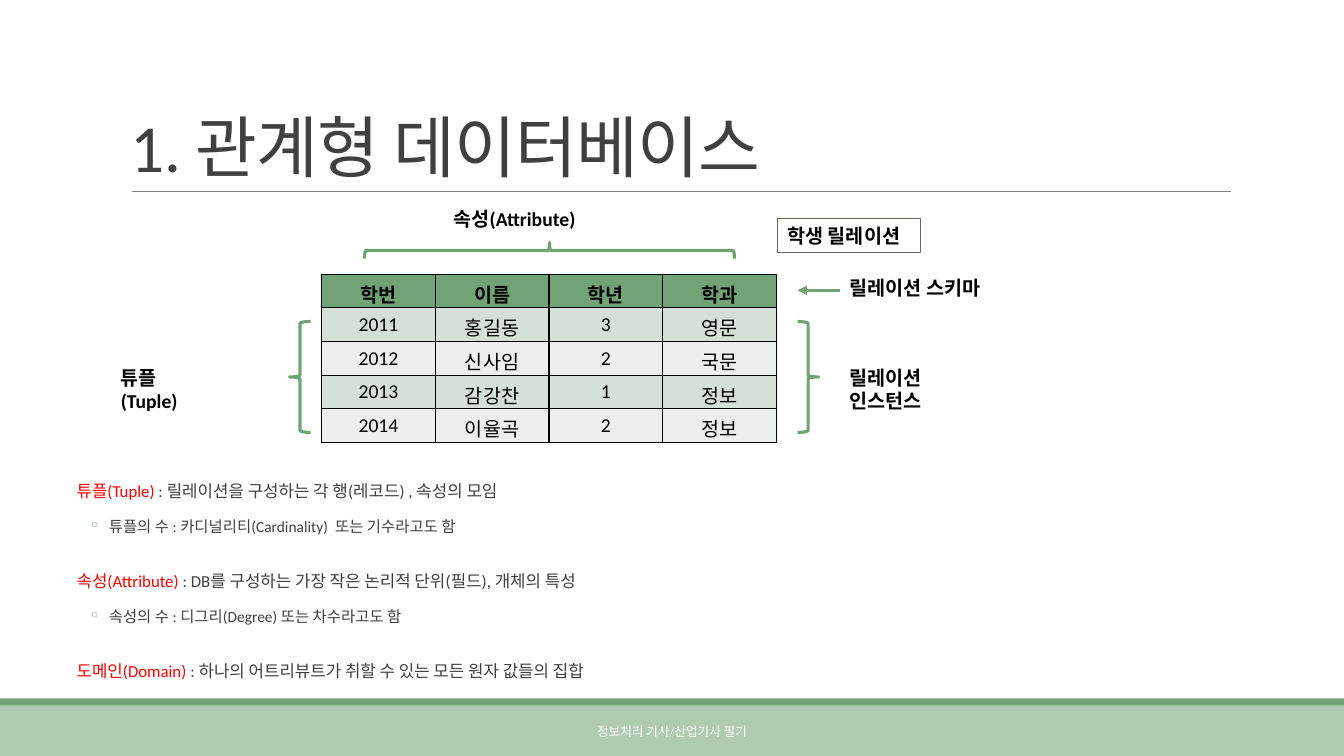
from lxml import etree
from pptx import Presentation
from pptx import util as u
from pptx.dml.color import RGBColor
from pptx.enum import shapes, text
from pptx.oxml import ns

# Content
TITLE = "1. 관계형 데이터베이스"
FOOTER = "정보처리 기사/산업기사 필기"
STUDENTS = [
    ("학번", "이름", "학년", "학과"),
    ("2011", "홍길동", "3", "영문"),
    ("2012", "신사임", "2", "국문"),
    ("2013", "감강찬", "1", "정보"),
    ("2014", "이율곡", "2", "정보"),
]
# Term, its definition, and a note on its count
DEFINITIONS = [
    ("튜플(Tuple)", " : 릴레이션을 구성하는 각 행(레코드) , 속성의 모임",
     "튜플의 수 : 카디널리티(Cardinality)  또는 기수라고도 함"),
    ("속성(Attribute) ", ": DB를 구성하는 가장 작은 논리적 단위(필드), 개체의 특성",
     "속성의 수 : 디그리(Degree) 또는 차수라고도 함"),
    ("도메인(Domain) ", ": 하나의 어트리뷰트가 취할 수 있는 모든 원자 값들의 집합", None),
]
# Text, place, right inset
LABELS = [
    ("릴레이션 스키마", (8.33, 2.69, 1.62, 0.34), 0),
    ("릴레이션\n인스턴스", (8.33, 3.58, 0.99, 0.57), 0),
    ("속성(Attribute)", (4.4, 2, 1.46, 0.34), 0),
    ("튜플(Tuple)", (1.1, 3.58, 1.16, 0.34), 0.3),
]
RELATION_NAME = ("학생 릴레이션", (7.71, 2.17, 1.42, 0.34), 0)
# Shape, place, rotation
BRACES = [
    (shapes.MSO_SHAPE.RIGHT_BRACE, (7.91, 3.19, 0.21, 1.1), 0),
    (shapes.MSO_SHAPE.RIGHT_BRACE, (5.37, 0.65, 0.16, 3.67), 270),
    (shapes.MSO_SHAPE.LEFT_BRACE, (2.87, 3.19, 0.21, 1.1), 0),
]


class Theme:
    font = "Calibri"
    green, pale_green = "72A376", "B0CCB0"
    bands = ("EBF0EC", "D5E0D6")
    ink, black, white, red = "404040", "000000", "FFFFFF", "FF0000"
    rule, frame = "808080", "676A55"
    title, label, term, note, footer = 48, 14, 12, 11, 9


deck = Presentation()
deck.slide_width, deck.slide_height = u.Inches(13.33), u.Inches(7.5)
page = deck.slides.add_slide(deck.slide_layouts[6])


def inches(place):
    return [u.Inches(length) for length in place]


def style(span, size, color, bold=False):
    span.font.name = Theme.font
    span.font.size = u.Pt(size)
    span.font.bold = bold
    span.font.color.rgb = RGBColor.from_string(color)


def style_all(frame, size, color, bold=False, align=None):
    for para in frame.paragraphs:
        para.alignment = align
        for span in para.runs:
            style(span, size, color, bold)


def add_text(words, place, size, color, bold=False, align=None, anchor="TOP"):
    box = page.shapes.add_textbox(*inches(place))
    frame = box.text_frame
    frame.word_wrap = True
    frame.vertical_anchor = text.MSO_ANCHOR[anchor]
    frame.text = words
    style_all(frame, size, color, bold, align)
    return box


def add_label(words, place, right_inset):
    box = add_text(words, place, Theme.label, Theme.black, bold=True)
    box.text_frame.margin_right = u.Inches(right_inset)
    return box


def add_shape(kind, place, fill=None, line=None, width=1.0):
    shape = page.shapes.add_shape(kind, *inches(place))
    shape.shadow.inherit = False
    for part, color in ((shape.fill, fill), (shape.line.fill, line)):
        if color:
            part.solid()
            part.fore_color.rgb = RGBColor.from_string(color)
        else:
            part.background()
    if line:
        shape.line.width = u.Pt(width)
    return shape


def add_line(start, end, color, width):
    line = page.shapes.add_connector(
        shapes.MSO_CONNECTOR.STRAIGHT, *inches(start + end))
    line.line.color.rgb = RGBColor.from_string(color)
    line.line.width = u.Pt(width)
    etree.SubElement(line._element.spPr, ns.qn("a:effectLst"))
    return line


def set_borders(cell, color):
    properties = cell._tc.get_or_add_tcPr()
    for index, side in enumerate(("lnL", "lnR", "lnT", "lnB")):
        border = etree.Element(ns.qn("a:" + side), w=str(u.Pt(1)))
        fill = etree.SubElement(border, ns.qn("a:solidFill"))
        etree.SubElement(fill, ns.qn("a:srgbClr"), val=color)
        properties.insert(index, border)


def set_bullet(para, mark, color, margin, indent):
    properties = para._p.get_or_add_pPr()
    properties.set("marL", str(u.Inches(margin)))
    properties.set("indent", str(u.Inches(indent)))
    tint = etree.SubElement(properties, ns.qn("a:buClr"))
    etree.SubElement(tint, ns.qn("a:srgbClr"), val=color)
    etree.SubElement(properties, ns.qn("a:buChar"), char=mark)


def add_definition_line(frame, level, spans):
    para = frame.paragraphs[0]
    if para.runs:
        para = frame.add_paragraph()
    para.level = level
    para.line_spacing = 1.6
    para.space_before, para.space_after = ((u.Pt(12), u.Pt(2)), (u.Pt(2), u.Pt(4)))[level]
    mark, margin, indent = ((" ", 0.1, -0.1), ("◦", 0.42, -0.2))[level]
    set_bullet(para, mark, Theme.green, margin, indent)
    for words, size, color in spans:
        span = para.add_run()
        span.text = words
        style(span, size, color)


# Footer band, title and its rule
add_shape(shapes.MSO_SHAPE.RECTANGLE, (0, 7, 13.33, 0.5), Theme.pale_green)
add_shape(shapes.MSO_SHAPE.RECTANGLE, (0, 6.93, 13.33, 0.07), Theme.green)
add_line((1.31, 1.9), (12.21, 1.9), Theme.rule, 0.5)
title = add_text(TITLE, (1.2, 0.31, 11, 1.59), Theme.title, Theme.ink, anchor="BOTTOM")
title_para = title.text_frame.paragraphs[0]
title_para.line_spacing = 0.85
title_para.runs[0].font._element.set("spc", "-50")
add_text(FOOTER, (4.03, 7.06, 5.27, 0.4), Theme.footer, Theme.white,
         align=text.PP_ALIGN.CENTER, anchor="MIDDLE")

# Definitions
body = page.shapes.add_textbox(*inches((0.66, 4.6, 12, 2.24))).text_frame
body.word_wrap = True
body.margin_left = body.margin_right = 0
for term, meaning, note in DEFINITIONS:
    add_definition_line(body, 0, [(term, Theme.term, Theme.red),
                                  (meaning, Theme.term, Theme.ink)])
    if note:
        add_definition_line(body, 1, [(note, Theme.note, Theme.ink)])

# Student table
table = page.shapes.add_table(len(STUDENTS), len(STUDENTS[0]),
                              *inches((3.19, 2.72, 4.51, 1.67))).table
for row, values in enumerate(STUDENTS):
    for column, value in enumerate(values):
        cell = table.cell(row, column)
        cell.text = value
        cell.vertical_anchor = text.MSO_ANCHOR.MIDDLE
        cell.margin_left = cell.margin_right = u.Inches(0.13)
        cell.fill.solid()
        color = Theme.bands[row % 2] if row else Theme.green
        cell.fill.fore_color.rgb = RGBColor.from_string(color)
        style_all(cell.text_frame, Theme.label, Theme.black,
                  bold=row == 0, align=text.PP_ALIGN.CENTER)
        set_borders(cell, Theme.black)

# Braces, schema arrow and labels
for kind, place, turn in BRACES:
    add_shape(kind, place, line=Theme.green, width=2.25).rotation = turn
arrow = add_line((8.33, 2.88), (7.91, 2.88), Theme.green, 2.25)
etree.SubElement(arrow.line._get_or_add_ln(), ns.qn("a:tailEnd"), type="triangle")
for label in LABELS:
    add_label(*label)
name_box = add_label(*RELATION_NAME)
name_box.line.color.rgb = RGBColor.from_string(Theme.frame)
name_box.line.width = u.Pt(0.75)

deck.save("out.pptx")
